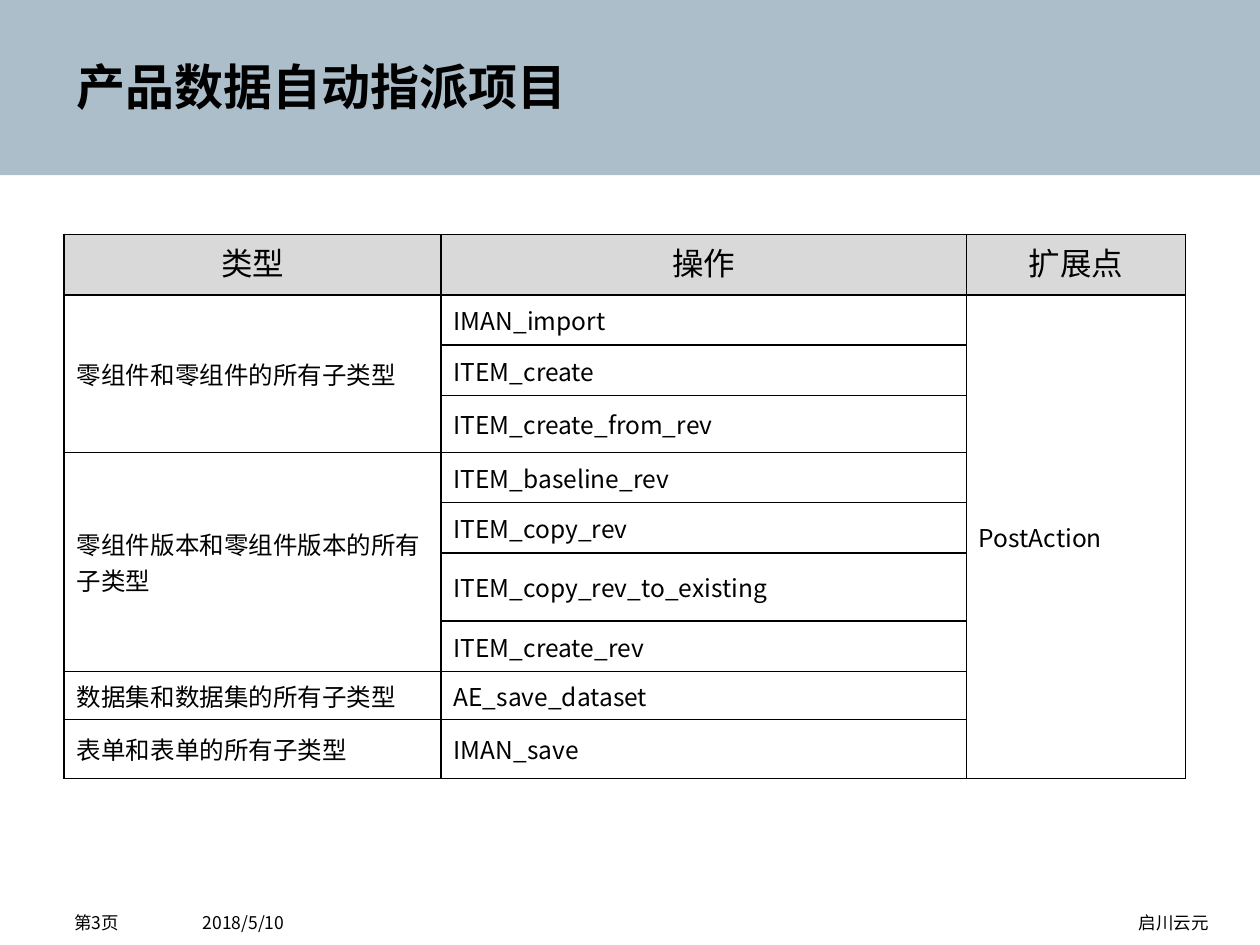
from dataclasses import dataclass

from lxml import etree
from pptx import Presentation
from pptx.dml.color import RGBColor
from pptx.enum import shapes, text
from pptx.oxml import ns
from pptx.util import Inches, Pt

TITLE = "产品数据自动指派项目"
HEADINGS = ["类型", "操作", "扩展点"]
EXTENSION_POINT = "PostAction"
OPERATIONS_BY_TYPE = [
    ("零组件和零组件的所有子类型",
     ["IMAN_import", "ITEM_create", "ITEM_create_from_rev"]),
    ("零组件版本和零组件版本的所有子类型",
     ["ITEM_baseline_rev", "ITEM_copy_rev", "ITEM_copy_rev_to_existing", "ITEM_create_rev"]),
    ("数据集和数据集的所有子类型", ["AE_save_dataset"]),
    ("表单和表单的所有子类型", ["IMAN_save"]),
]
COLUMN_WIDTHS = [2.99, 4.17, 1.74]
ROW_HEIGHTS = [0.48, 0.4, 0.4, 0.45, 0.4, 0.4, 0.54, 0.4, 0.38, 0.47]
FOOTERS = [
    ("2018/5/10", 0, 2.79, 1.61, 0, "LEFT"),
    ("第3页", 0, 1.37, 0.59, 0, "LEFT"),
    ("启川云元", 2.95, 7.05, 0, 0.41, "RIGHT"),
]


@dataclass(frozen=True)
class Theme:
    ink: str = "000000"
    paper: str = "FFFFFF"
    band: str = "ADBECB"
    heading_fill: str = "D9D9D9"
    font: str = "Noto Sans CJK SC"
    heading_font: str = "Arial"
    title_size: int = 28
    heading_size: int = 18
    body_size: int = 14
    footer_size: int = 10
    border: int = 1


THEME = Theme()


def write(frame, words, size=THEME.body_size, font=THEME.font, bold=False,
          align="LEFT", spacing=None):
    frame.word_wrap = True
    paragraph = frame.paragraphs[0]
    paragraph.alignment = getattr(text.PP_ALIGN, align)
    if spacing:
        paragraph.line_spacing = spacing
    run = paragraph.add_run()
    run.text = words
    run.font.size = Pt(size)
    run.font.bold = bold
    run.font.name = font
    run.font.color.rgb = RGBColor.from_string(THEME.ink)
    east_asian = etree.Element(ns.qn("a:ea"), typeface=font)
    run.font._element.find(ns.qn("a:latin")).addnext(east_asian)


def style_cell(cell, color):
    properties = cell._tc.get_or_add_tcPr()
    for side in ("lnL", "lnR", "lnT", "lnB"):
        line = etree.SubElement(properties, ns.qn(f"a:{side}"), w=str(Pt(THEME.border)))
        fill = etree.SubElement(line, ns.qn("a:solidFill"))
        etree.SubElement(fill, ns.qn("a:srgbClr"), val=THEME.ink)
    cell.fill.solid()
    cell.fill.fore_color.rgb = RGBColor.from_string(color)
    cell.vertical_anchor = text.MSO_ANCHOR.MIDDLE


def add_operations_table(slide):
    table = slide.shapes.add_table(
        len(ROW_HEIGHTS), len(COLUMN_WIDTHS), Inches(0.51), Inches(1.86),
        Inches(sum(COLUMN_WIDTHS)), Inches(sum(ROW_HEIGHTS))).table
    for column, width in zip(table.columns, COLUMN_WIDTHS):
        column.width = Inches(width)
    for index, height in enumerate(ROW_HEIGHTS):
        table.rows[index].height = Inches(height)
        for cell in table.rows[index].cells:
            style_cell(cell, THEME.paper if index else THEME.heading_fill)
    for column, heading in enumerate(HEADINGS):
        write(table.cell(0, column).text_frame, heading, size=THEME.heading_size,
              font=THEME.heading_font, align="CENTER")
    row = 1
    for item_type, operations in OPERATIONS_BY_TYPE:
        type_cell = table.cell(row, 0)
        if len(operations) > 1:
            type_cell.merge(table.cell(row + len(operations) - 1, 0))
        write(type_cell.text_frame, item_type)
        for operation in operations:
            write(table.cell(row, 1).text_frame, operation)
            row += 1
    extension = table.cell(1, 2)
    extension.merge(table.cell(row - 1, 2))
    write(extension.text_frame, EXTENSION_POINT)


def main():
    deck = Presentation()
    deck.slide_width, deck.slide_height = Inches(10), Inches(7.5)
    slide = deck.slides.add_slide(deck.slide_layouts[6])

    band = slide.shapes.add_shape(
        shapes.MSO_SHAPE.RECTANGLE, 0, 0, deck.slide_width, Inches(1.39))
    band.shadow.inherit = False
    band.fill.solid()
    band.fill.fore_color.rgb = RGBColor.from_string(THEME.band)
    band.line.fill.background()

    for words, left, width, inset_left, inset_right, align in FOOTERS:
        footer = slide.shapes.add_textbox(
            Inches(left), Inches(7.22), Inches(width), Inches(0.28)).text_frame
        footer.margin_left, footer.margin_right = Inches(inset_left), Inches(inset_right)
        footer.margin_top, footer.margin_bottom = 0, Inches(0.13)
        write(footer, words, size=THEME.footer_size, align=align, spacing=1.1)

    add_operations_table(slide)

    title = slide.shapes.add_textbox(Inches(0.51), Inches(0.4), Inches(6.79), Inches(0.51))
    write(title.text_frame, TITLE, size=THEME.title_size, bold=True)

    deck.save("out.pptx")


if __name__ == "__main__":
    main()
